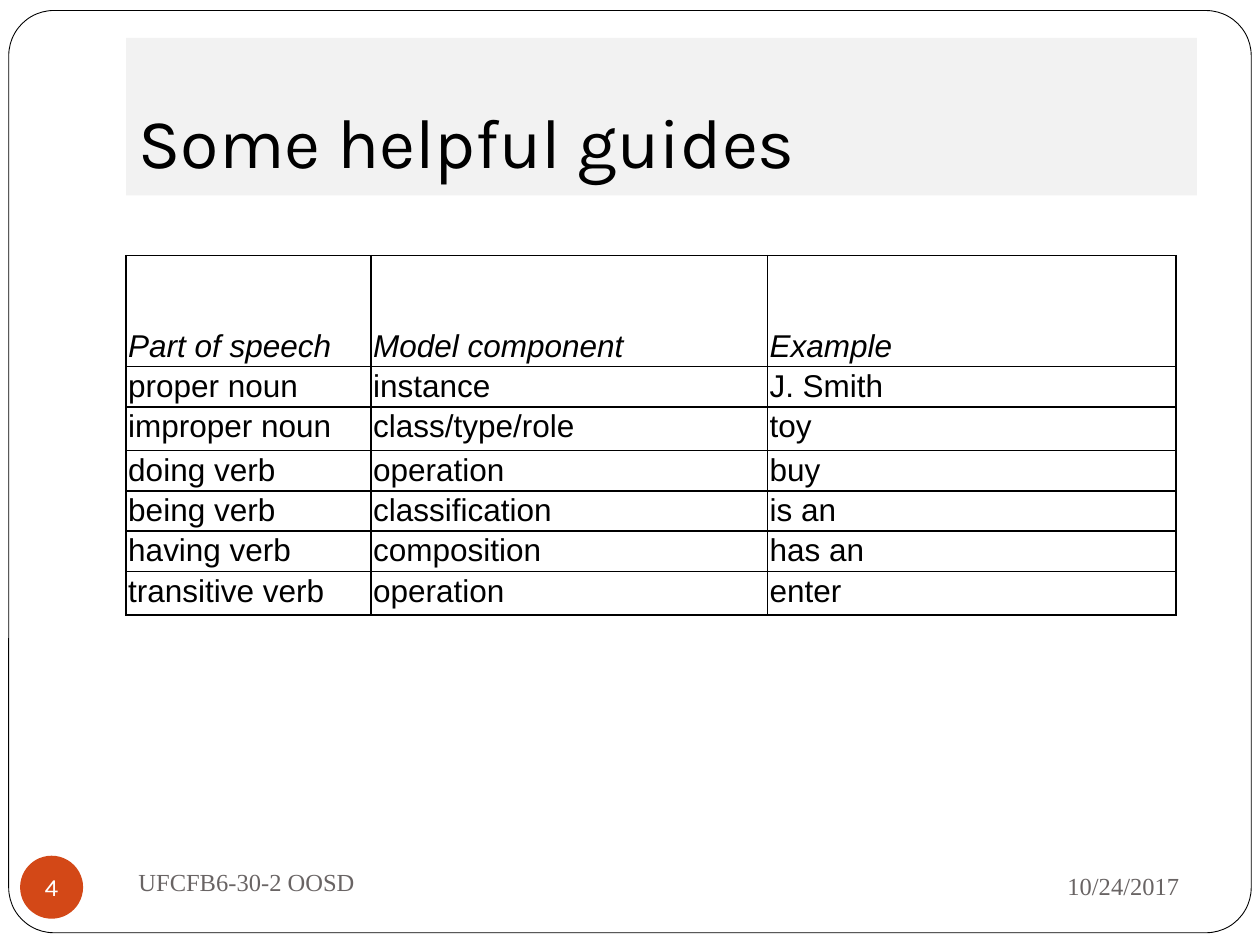
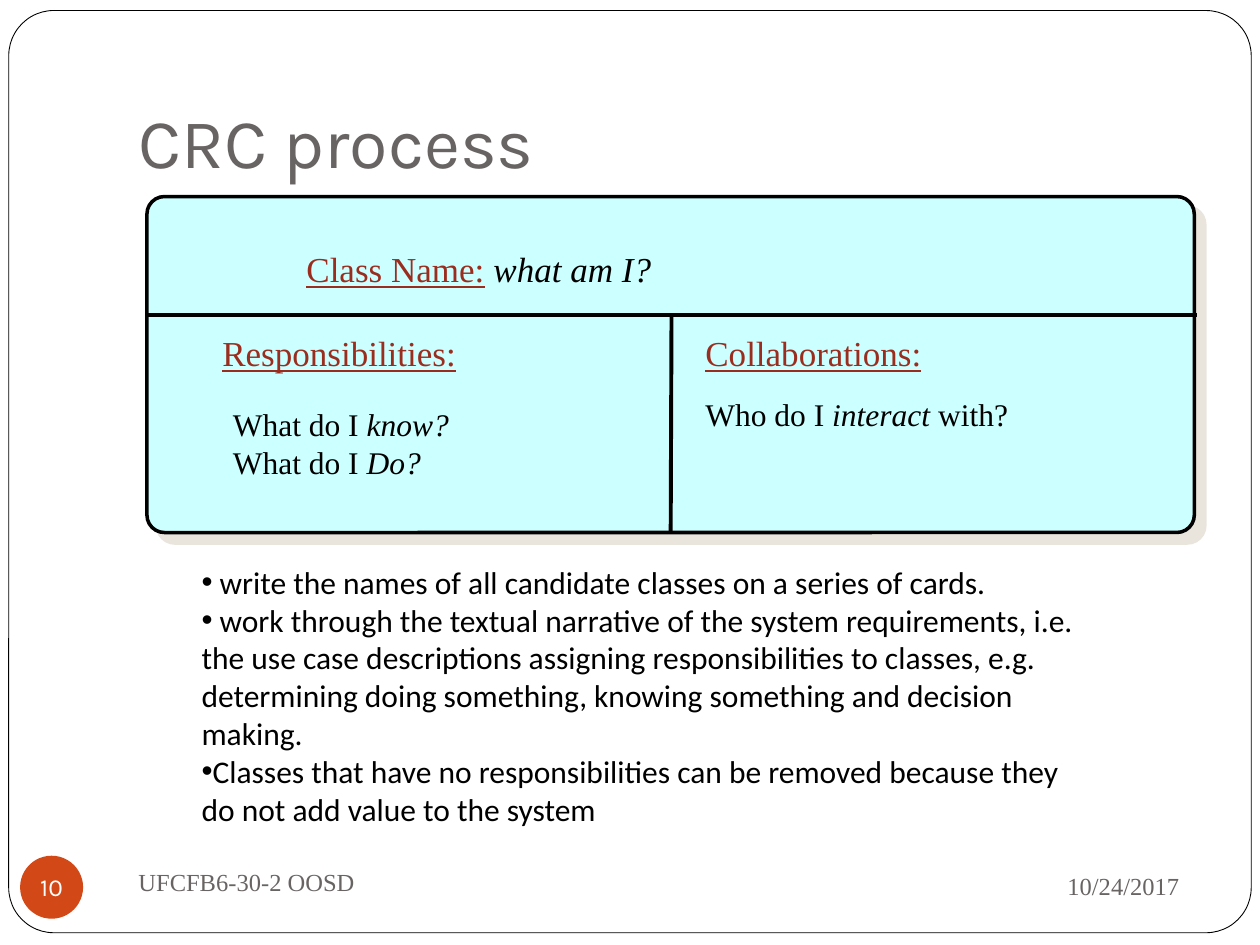
from lxml import etree
from pptx import Presentation
from pptx.dml.color import RGBColor
from pptx.enum import shapes, text
from pptx.oxml import ns
from pptx.util import Pt

COLOURS = {
    "black": "000000", "white": "FFFFFF", "grey": "696464", "band": "F2F2F2",
    "badge": "D34817", "card": "CCFFFF", "shadow": "E9E5DC", "label": "9B2D1F",
}
SERIF, SANS, HEADING, BODY = "Times New Roman", "Arial", "Karla", "Calibri"
LEFT, TOP, MIDDLE, BOTTOM = (text.PP_ALIGN.LEFT, text.MSO_ANCHOR.TOP,
                             text.MSO_ANCHOR.MIDDLE, text.MSO_ANCHOR.BOTTOM)
INSETS = (7.2, 3.6, 7.2, 3.6)

FOOTER = "UFCFB6-30-2 OOSD"
DATE = "10/24/2017"

GUIDE_TITLE = "Some helpful guides"
GUIDE_ROWS = [
    ("Part of speech", "Model component", "Example"),
    ("proper noun", "instance", "J. Smith"),
    ("improper noun", "class/type/role", "toy"),
    ("doing verb", "operation", "buy"),
    ("being verb", "classification", "is an"),
    ("having verb", "composition", "has an"),
    ("transitive verb", "operation", "enter"),
]
GUIDE_WIDTHS = (140, 226.5, 233.5)
GUIDE_HEIGHTS = (63.5, 23, 25, 23, 23, 23, 25)

CRC_TITLE = "CRC process"
CRC_STEPS = [
    " write the names of all candidate classes on a series of cards.",
    " work through the textual narrative of the system requirements, i.e. the use case "
    "descriptions assigning responsibilities to classes, e.g. determining doing something, "
    "knowing something and decision making.",
    "Classes that have no responsibilities can be removed because they do not add value "
    "to the system",
]
LABEL = {"colour": "label", "underline": True}
ITALIC = {"italic": True}
CARD_TEXTS = [
    ((168, 138, 444, 32), 20, [[("Class Name:", LABEL), (" ", {}), ("what am I?", ITALIC)]]),
    ((120, 186, 246, 32), 20, [[("Responsibilities:", LABEL)]]),
    ((396, 186, 246, 32), 20, [[("Collaborations:", LABEL)]]),
    ((126, 228, 228, 75), 18, [[("What do I ", {}), ("know?", ITALIC)],
                               [("What do I ", {}), ("Do?", ITALIC)]]),
    ((396, 222, 264, 74), 18, [[("Who do I ", {}), ("interact", ITALIC), (" with?", {})]]),
]
CARD = (84, 112.3, 598.5, 192)
CARD_RULE_TOP = 180


def colour(name):
    return RGBColor.from_string(COLOURS[name])


def points(values):
    return [Pt(value) for value in values]


def fill(target, name):
    target.fill.solid()
    target.fill.fore_color.rgb = colour(name)


def add_run(paragraph, words, font, size, colour_name="black", italic=False, underline=False):
    run = paragraph.add_run()
    run.text = words
    run.font.name = font
    run.font.size = Pt(size)
    run.font.color.rgb = colour(colour_name)
    run.font.italic = italic
    run.font.underline = underline


def set_frame(frame, anchor=TOP, insets=INSETS, wrap=True):
    frame.word_wrap = wrap
    frame.auto_size = text.MSO_AUTO_SIZE.NONE
    frame.vertical_anchor = anchor
    (frame.margin_left, frame.margin_top,
     frame.margin_right, frame.margin_bottom) = points(insets)


def place(shape, box):
    shape.left, shape.top, shape.width, shape.height = points(box)


def paragraph_at(frame, index):
    return frame.add_paragraph() if index else frame.paragraphs[0]


def add_label(slide, box, words, alignment=LEFT):
    frame = slide.shapes.add_textbox(*points(box)).text_frame
    set_frame(frame, MIDDLE)
    frame.paragraphs[0].alignment = alignment
    add_run(frame.paragraphs[0], words, SERIF, 14, "grey")


def add_preset(slide, preset, box, fill_name, line_width=None, corner=None):
    shape = slide.shapes.add_shape(preset, *points(box))
    shape.shadow.inherit = False
    fill(shape, fill_name)
    if line_width:
        shape.line.color.rgb = colour("black")
        shape.line.width = Pt(line_width)
    else:
        shape.line.fill.background()
    if corner:
        shape.adjustments[0] = corner
    return shape


def add_rule(slide, start, end):
    connector = slide.shapes.add_connector(shapes.MSO_CONNECTOR.STRAIGHT, *points(start + end))
    connector.line.color.rgb = colour("black")
    connector.line.width = Pt(2.25)
    etree.SubElement(connector._element.spPr, ns.qn("a:effectLst"))
    return connector


def start_slide(presentation, layout, title, number, title_colour):
    slide = presentation.slides.add_slide(presentation.slide_layouts[layout])
    border = add_preset(slide, shapes.MSO_SHAPE.ROUNDED_RECTANGLE, (5, 6, 710, 527),
                        "white", 0.5, 0.049)
    slide.shapes._spTree.insert(2, border._element)

    heading = slide.shapes.title
    place(heading, (72, 21.6, 612, 90))
    set_frame(heading.text_frame, BOTTOM, (7.2, 3.6, 7.2, 7.2))
    heading.text_frame.paragraphs[0].alignment = LEFT
    add_run(heading.text_frame.paragraphs[0], title, HEADING, 40, title_colour)

    add_label(slide, (486, 487.5, 195, 37.5), DATE, text.PP_ALIGN.RIGHT)
    add_label(slide, (72, 486, 312, 36), FOOTER)
    badge = add_preset(slide, shapes.MSO_SHAPE.OVAL, (11.5, 489, 36, 36), "badge")
    set_frame(badge.text_frame, MIDDLE, (0, 0, 0, 0), False)
    badge.text_frame.paragraphs[0].alignment = text.PP_ALIGN.CENTER
    add_run(badge.text_frame.paragraphs[0], str(number), HEADING, 14, "white")
    return slide


def add_borders(cell):
    properties = cell._tc.get_or_add_tcPr()
    for position, side in enumerate(("lnL", "lnR", "lnT", "lnB")):
        line = etree.Element(ns.qn("a:" + side), w=str(Pt(1)))
        solid = etree.SubElement(line, ns.qn("a:solidFill"))
        etree.SubElement(solid, ns.qn("a:srgbClr"), val=COLOURS["black"])
        properties.insert(position, line)


def add_guide_table(slide):
    box = (72, 146, sum(GUIDE_WIDTHS), sum(GUIDE_HEIGHTS))
    table = slide.shapes.add_table(len(GUIDE_ROWS), len(GUIDE_WIDTHS), *points(box)).table
    table.first_row = table.horz_banding = False
    for column, width in zip(table.columns, GUIDE_WIDTHS):
        column.width = Pt(width)
    for row_index, (words_in_row, height) in enumerate(zip(GUIDE_ROWS, GUIDE_HEIGHTS)):
        table.rows[row_index].height = Pt(height)
        is_header = row_index == 0
        for column_index, words in enumerate(words_in_row):
            cell = table.cell(row_index, column_index)
            fill(cell, "white")
            add_borders(cell)
            cell.margin_left = cell.margin_right = Pt(1.3)
            cell.margin_top = cell.margin_bottom = Pt(1.3)
            cell.vertical_anchor = BOTTOM if is_header else TOP
            add_run(cell.text_frame.paragraphs[0], words, SANS, 18, italic=is_header)


def add_card_shadow(card):
    effects = card._element.spPr.find(ns.qn("a:effectLst"))
    shadow = etree.SubElement(effects, ns.qn("a:outerShdw"), blurRad="0", dist=str(Pt(8.5)),
                              dir="2700000", algn="ctr", rotWithShape="0")
    etree.SubElement(shadow, ns.qn("a:srgbClr"), val=COLOURS["shadow"])


def add_crc_card(slide):
    left, top, width, height = CARD
    middle = left + width / 2
    card = add_preset(slide, shapes.MSO_SHAPE.ROUNDED_RECTANGLE, CARD, "card", 2, 0.052)
    add_card_shadow(card)
    add_rule(slide, (left, CARD_RULE_TOP), (left + width + 1.5, CARD_RULE_TOP))
    divider = add_rule(slide, (middle + 0.5, CARD_RULE_TOP), (middle, top + height))
    divider.end_connect(card, 2)
    for box, size, lines in CARD_TEXTS:
        frame = slide.shapes.add_textbox(*points(box)).text_frame
        set_frame(frame)
        for index, runs in enumerate(lines):
            paragraph = paragraph_at(frame, index)
            paragraph.line_spacing = Pt(size * 1.2)
            for words, style in runs:
                options = dict(style)
                add_run(paragraph, words, SERIF, size, options.pop("colour", "black"), **options)


def add_steps(slide):
    body = slide.placeholders[1]
    place(body, (108, 318, 516, 158.5))
    set_frame(body.text_frame)
    for index, step in enumerate(CRC_STEPS):
        paragraph = paragraph_at(body.text_frame, index)
        properties = paragraph._p.get_or_add_pPr()
        properties.set("marL", "0")
        properties.set("indent", "0")
        etree.SubElement(properties, ns.qn("a:buChar"), char="•")
        paragraph.space_before = Pt(0)
        paragraph.line_spacing = Pt(21.6)
        add_run(paragraph, step, BODY, 18)


def main():
    presentation = Presentation()
    presentation.slide_width, presentation.slide_height = points((720, 540))

    guides = start_slide(presentation, 5, GUIDE_TITLE, 4, "black")
    fill(guides.shapes.title, "band")
    add_guide_table(guides)

    process = start_slide(presentation, 1, CRC_TITLE, 10, "grey")
    add_steps(process)
    add_crc_card(process)

    presentation.save("out.pptx")


if __name__ == "__main__":
    main()
